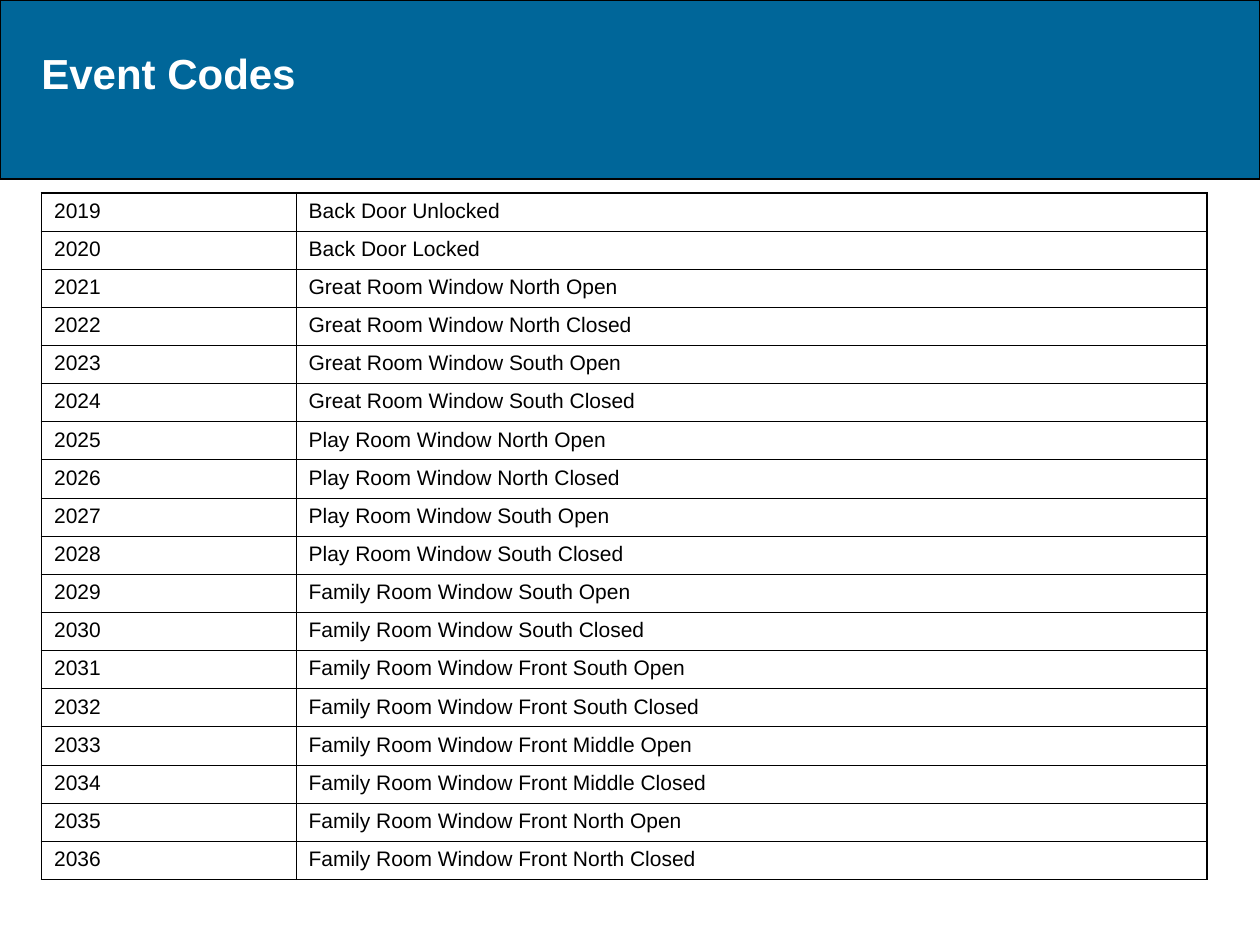
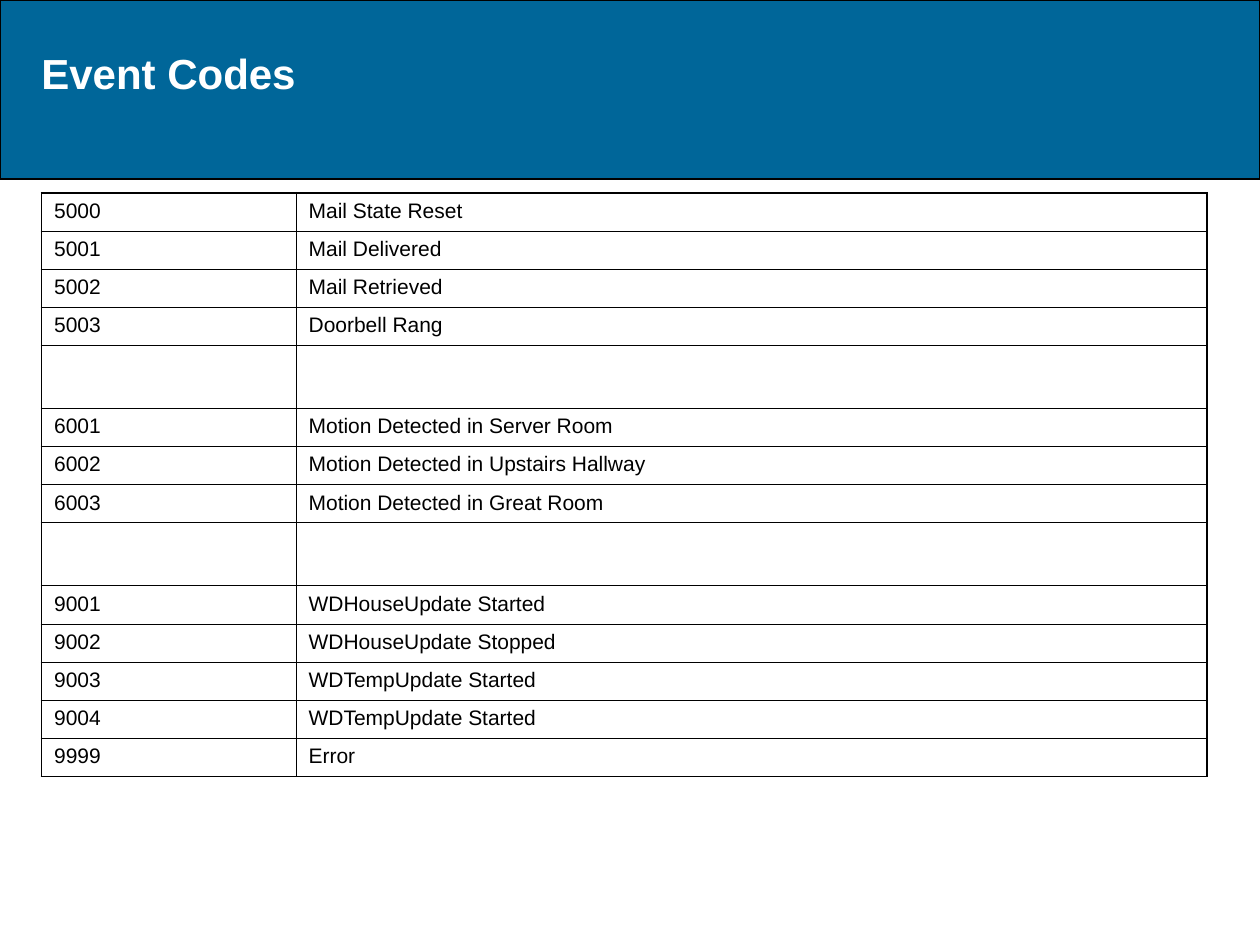
import pptx
import pptx.util
import pptx.dml.color
import pptx.enum.shapes
import pptx.enum.text
import pptx.oxml.ns
import lxml.etree

HUES = {"band": "006699", "ink": "000000", "paper": "FFFFFF"}
FONT = "Arial"
COLS, ROWS = 100, 75  # grid units across and down the slide
THIN, THICK = 0.45, 1.08  # rule widths in points
STEP, GAP = 54.5 / 18, 5  # heights of a filled and an empty row

OPENINGS = ["Great Room Window North", "Great Room Window South",
            "Play Room Window North", "Play Room Window South",
            "Family Room Window South", "Family Room Window Front South",
            "Family Room Window Front Middle", "Family Room Window Front North"]
DOORS = ["Back Door Unlocked", "Back Door Locked"] + [
    f"{place} {state}" for place in OPENINGS for state in ("Open", "Closed")]
HOUSE = [(str(code), label) for code, label in enumerate(DOORS, 2019)]
BLANK = ("", "")
SYSTEM = [
    ("5000", "Mail State Reset"),
    ("5001", "Mail Delivered"),
    ("5002", "Mail Retrieved"),
    ("5003", "Doorbell Rang"),
    BLANK,
    ("6001", "Motion Detected in Server Room"),
    ("6002", "Motion Detected in Upstairs Hallway"),
    ("6003", "Motion Detected in Great Room"),
    BLANK,
    ("9001", "WDHouseUpdate Started"),
    ("9002", "WDHouseUpdate Stopped"),
    ("9003", "WDTempUpdate Started"),
    ("9004", "WDTempUpdate Started"),
    ("9999", "Error"),
]


def tint(name):
    return pptx.dml.color.RGBColor.from_string(HUES[name])


def write(frame, text, size=12, hue="ink", bold=False):
    """Put one formatted run in a text frame."""
    run = frame.paragraphs[0].add_run()
    run.text = text
    run.font.name = FONT
    run.font.size = pptx.util.Pt(size)
    run.font.bold = bold
    run.font.color.rgb = tint(hue)


def rule(cell, widths):
    """Draw the left, right, top and bottom borders of a cell."""
    props = cell._tc.get_or_add_tcPr()
    qn = pptx.oxml.ns.qn
    for spot, (side, width) in enumerate(zip("LRTB", widths)):
        line = lxml.etree.Element(qn(f"a:ln{side}"), w=str(pptx.util.Pt(width)))
        fill = lxml.etree.SubElement(line, qn("a:solidFill"))
        lxml.etree.SubElement(fill, qn("a:srgbClr"), val=HUES["ink"])
        props.insert(spot, line)


class Deck:
    def __init__(self):
        self.file = pptx.Presentation()
        self.file.slide_width = pptx.util.Inches(10)
        self.file.slide_height = pptx.util.Inches(7.5)
        self.slide = None

    def wide(self, cols):
        return round(self.file.slide_width * cols / COLS)

    def tall(self, rows):
        return round(self.file.slide_height * rows / ROWS)

    def box(self, left, top, width, height):
        return self.wide(left), self.tall(top), self.wide(width), self.tall(height)

    def page(self, title):
        self.slide = self.file.slides.add_slide(self.file.slide_layouts[6])
        self.band()
        self.title(title)

    def band(self):
        kind = pptx.enum.shapes.MSO_SHAPE.RECTANGLE
        band = self.slide.shapes.add_shape(kind, *self.box(0, 0, COLS, 14.2))
        band.shadow.inherit = False
        band.fill.solid()
        band.fill.fore_color.rgb = tint("band")
        band.line.color.rgb = tint("ink")
        band.line.width = pptx.util.Pt(1)

    def title(self, text):
        frame = self.slide.shapes.add_textbox(*self.box(2.3, 2.9, 94.3, 5)).text_frame
        frame.word_wrap = True
        frame.margin_top, frame.margin_bottom = self.tall(0.9), self.tall(0.1)
        write(frame, text, size=24, hue="paper", bold=True)

    def table(self, rows):
        heights = [STEP if any(row) else GAP for row in rows]
        place = self.box(3.3, 15.3, 92.5, sum(heights))
        table = self.slide.shapes.add_table(len(rows), 2, *place).table
        table.first_row = table.horz_banding = False
        for col, width in zip(table.columns, (20.2, 72.3)):
            col.width = self.wide(width)
        last = len(rows) - 1
        for r, row in enumerate(rows):
            table.rows[r].height = self.tall(heights[r])
            for c, text in enumerate(row):
                cell = table.cell(r, c)
                cell.fill.background()
                # Outer edges are thick, inner ones thin
                edges = (c == 0, c == 1, r == 0, r == last)
                rule(cell, [THICK if edge else THIN for edge in edges])
                if text:
                    write(cell.text_frame, text)


def main():
    deck = Deck()
    for rows in (HOUSE, SYSTEM):
        deck.page("Event Codes")
        deck.table(rows)
    deck.file.save("out.pptx")


if __name__ == "__main__":
    main()
